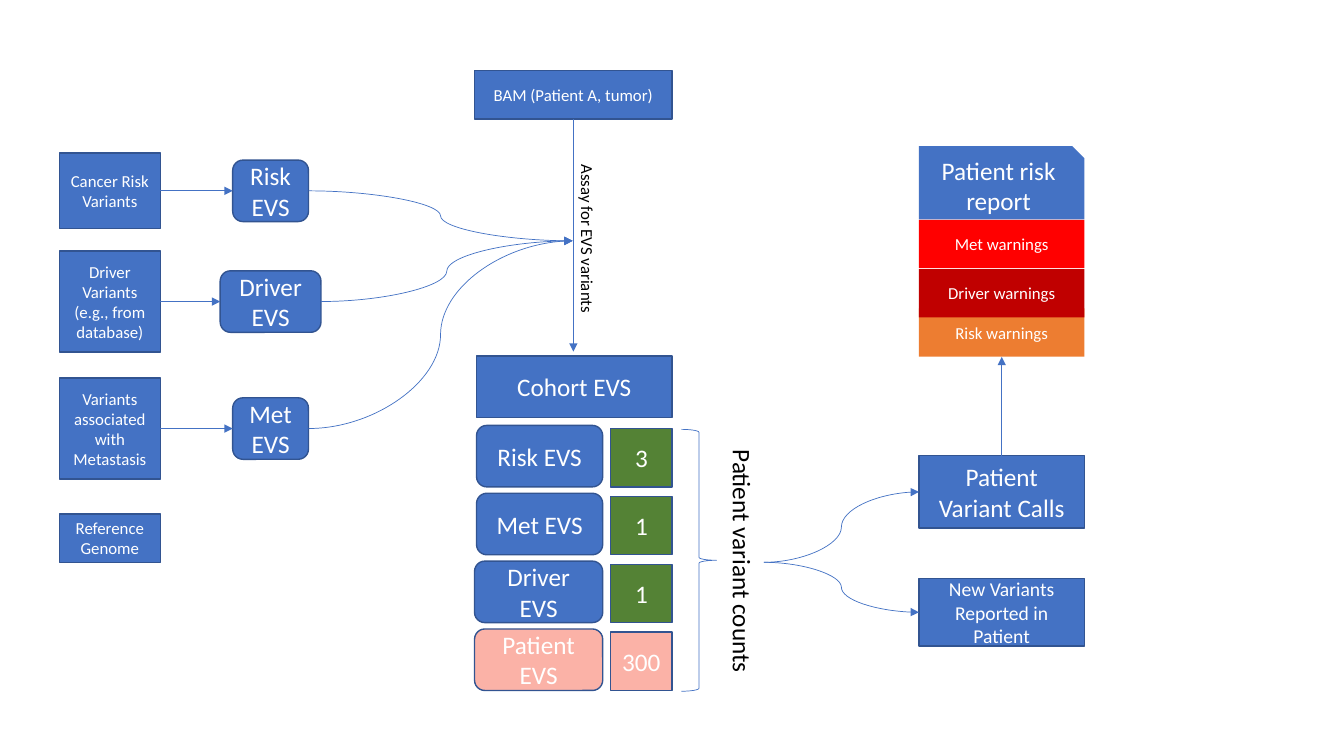
"""Build a slide showing how variant sets and a patient sample lead to a risk report."""
from lxml import etree
from pptx import Presentation
from pptx.dml.color import RGBColor
from pptx.enum.shapes import MSO_CONNECTOR, MSO_SHAPE
from pptx.enum.text import MSO_ANCHOR, MSO_AUTO_SIZE, PP_ALIGN
from pptx.oxml.ns import qn
from pptx.util import Cm, Pt

RECTANGLE, ROUNDED = MSO_SHAPE.RECTANGLE, MSO_SHAPE.ROUNDED_RECTANGLE
SNIPPED, BRACE = MSO_SHAPE.SNIP_1_RECTANGLE, MSO_SHAPE.RIGHT_BRACE
STRAIGHT, CURVE = MSO_CONNECTOR.STRAIGHT, MSO_CONNECTOR.CURVE
MIDDLE, CENTER, LEFT = MSO_ANCHOR.MIDDLE, PP_ALIGN.CENTER, PP_ALIGN.LEFT
FIT_SHAPE = MSO_AUTO_SIZE.SHAPE_TO_FIT_TEXT

FONT = "Calibri"
WHITE, BLACK, BLUE, OUTLINE = "FFFFFF", "000000", "4472C4", "325491"
GREEN, CORAL = "548235", "F53718"
CORAL_OPACITY = 38

# source text, source height, variant set name, set width, row centre
PIPELINES = [
    ("Cancer Risk Variants", 1.91, "Risk EVS", 1.91, 4.81),
    ("Driver Variants (e.g., from database)", 2.54, "Driver EVS", 2.54, 7.6),
    ("Variants associated with Metastasis", 2.54, "Met EVS", 1.91, 10.8),
]
# name, count, left, fill, opacity
TALLIES = [
    ("Risk EVS", "3", 12.01, BLUE, GREEN, 100),
    ("Met EVS", "1", 12.01, BLUE, GREEN, 100),
    ("Driver EVS", "1", 11.96, BLUE, GREEN, 100),
    ("Patient EVS", "300", 11.96, CORAL, CORAL, CORAL_OPACITY),
]
WARNINGS = [
    ("Met warnings", 5.54, "FF0000"),
    ("Risk warnings", 7.77, "ED7D31"),
    ("Driver warnings", 6.78, "C00000"),
]
# text, top, height, size
OUTCOMES = [
    ("Patient Variant Calls", 11.48, 1.83, 18),
    ("New Variants Reported in Patient", 14.58, 1.7, 14),
]
# text, left, top, width, height, size
VERTICAL_LABELS = [
    ("Assay for EVS variants", 12.67, 5.66, 4.29, 0.76, 12),
    ("Patient variant counts", 15.62, 13.67, 6.2, 1.02, 18),
]

SOURCE_LEFT, SOURCE_WIDTH = 1.5, 2.54
SET_CENTER, SET_HEIGHT = 6.82, 1.55
ASSAY_X, ASSAY_TOP, ASSAY_BOTTOM = 14.45, 3, 8.86
ASSAY_JOIN = (14.43, 6.07)
TALLY_TOP, TALLY_PITCH, TALLY_RIGHT = 10.72, 1.71, 15.19
COUNT_LEFT, COUNT_WIDTH, COUNT_HEIGHT, COUNT_DROP = 15.39, 1.55, 1.47, 0.08
REPORT_LEFT, REPORT_WIDTH, REPORT_BOTTOM = 23.16, 4.17, 8.99
SPLIT = (19.25, 14.17)


def color(hex_code):
    return RGBColor.from_string(hex_code)


def write(shape, text, size, hex_code, alignment):
    frame = shape.text_frame
    frame.text = text
    paragraph = frame.paragraphs[0]
    paragraph.alignment = alignment
    paragraph.font.name = FONT
    paragraph.font.size = Pt(size)
    paragraph.font.color.rgb = color(hex_code)


def add_box(shapes, kind, text, left, top, width, height, size,
            fill=BLUE, outline=OUTLINE, opacity=100):
    shape = shapes.add_shape(kind, Cm(left), Cm(top), Cm(width), Cm(height))
    shape.shadow.inherit = False
    shape.fill.solid()
    shape.fill.fore_color.rgb = color(fill)
    if opacity < 100:
        fill_color = shape.fill._xPr.find(qn("a:solidFill"))[0]
        etree.SubElement(fill_color, qn("a:alpha")).set("val", str(opacity * 1000))
    if outline:
        shape.line.color.rgb = color(outline)
        shape.line.width = Pt(1)
    else:
        shape.line.fill.background()
    shape.text_frame.word_wrap = True
    shape.text_frame.vertical_anchor = MIDDLE
    write(shape, text, size, WHITE, CENTER)


def add_arrow(shapes, kind, start, end):
    connector = shapes.add_connector(kind, *[Cm(value) for value in (*start, *end)])
    connector.line.color.rgb = color(BLUE)
    connector.line.width = Pt(0.5)
    tail = etree.SubElement(connector.line._get_or_add_ln(), qn("a:tailEnd"))
    tail.set("type", "triangle")
    etree.SubElement(connector._element.spPr, qn("a:effectLst"))


def add_vertical_label(shapes, text, left, top, width, height, size):
    label = shapes.add_textbox(Cm(left), Cm(top), Cm(width), Cm(height))
    label.rotation = 90
    label.text_frame.word_wrap = False
    label.text_frame.auto_size = FIT_SHAPE
    write(label, text, size, BLACK, LEFT)


def add_pipelines(shapes):
    for source, height, name, width, center in PIPELINES:
        set_left = SET_CENTER - width / 2
        add_box(shapes, RECTANGLE, source, SOURCE_LEFT, center - height / 2,
                SOURCE_WIDTH, height, 12)
        add_box(shapes, ROUNDED, name, set_left, center - SET_HEIGHT / 2,
                width, SET_HEIGHT, 18)
        add_arrow(shapes, STRAIGHT, (SOURCE_LEFT + SOURCE_WIDTH, center), (set_left, center))
        add_arrow(shapes, CURVE, (set_left + width, center), ASSAY_JOIN)
    add_box(shapes, RECTANGLE, "Reference Genome", SOURCE_LEFT, 12.95, SOURCE_WIDTH, 1.22, 12)


def add_cohort(shapes):
    add_box(shapes, RECTANGLE, "BAM (Patient A, tumor)", 11.96, 1.78, 4.98, 1.22, 12)
    add_arrow(shapes, STRAIGHT, (ASSAY_X, ASSAY_TOP), (ASSAY_X, ASSAY_BOTTOM))
    add_box(shapes, RECTANGLE, "Cohort EVS", 12.01, 8.97, 4.93, 1.55, 18)
    for row, (name, count, left, name_fill, count_fill, opacity) in enumerate(TALLIES):
        top = TALLY_TOP + row * TALLY_PITCH
        add_box(shapes, ROUNDED, name, left, top, TALLY_RIGHT - left, SET_HEIGHT, 18,
                name_fill, opacity=opacity)
        add_box(shapes, RECTANGLE, count, COUNT_LEFT, top + COUNT_DROP,
                COUNT_WIDTH, COUNT_HEIGHT, 18, count_fill, opacity=opacity)
    brace = shapes.add_shape(BRACE, Cm(17.17), Cm(10.82), Cm(0.89), Cm(6.6))
    brace.shadow.inherit = False
    brace.fill.background()
    brace.line.color.rgb = color(BLUE)
    brace.line.width = Pt(0.5)


def add_report(shapes):
    report = shapes.add_group_shape().shapes
    add_box(report, SNIPPED, "Patient risk report", REPORT_LEFT, 3.68,
            REPORT_WIDTH, 1.85, 18, outline=None)
    for text, top, fill in WARNINGS:
        add_box(report, RECTANGLE, text, REPORT_LEFT, top, REPORT_WIDTH, 1.22, 12,
                fill, outline=None)
    for text, top, height, size in OUTCOMES:
        add_box(shapes, RECTANGLE, text, REPORT_LEFT, top, REPORT_WIDTH, height, size)
        add_arrow(shapes, CURVE, SPLIT, (REPORT_LEFT, top + height / 2))
    middle = REPORT_LEFT + REPORT_WIDTH / 2
    add_arrow(shapes, STRAIGHT, (middle, OUTCOMES[0][1]), (middle, REPORT_BOTTOM))


def main():
    presentation = Presentation()
    presentation.slide_width, presentation.slide_height = Cm(33.87), Cm(19.05)
    shapes = presentation.slides.add_slide(presentation.slide_layouts[6]).shapes
    add_pipelines(shapes)
    add_cohort(shapes)
    add_report(shapes)
    for label in VERTICAL_LABELS:
        add_vertical_label(shapes, *label)
    presentation.save("out.pptx")


if __name__ == "__main__":
    main()
